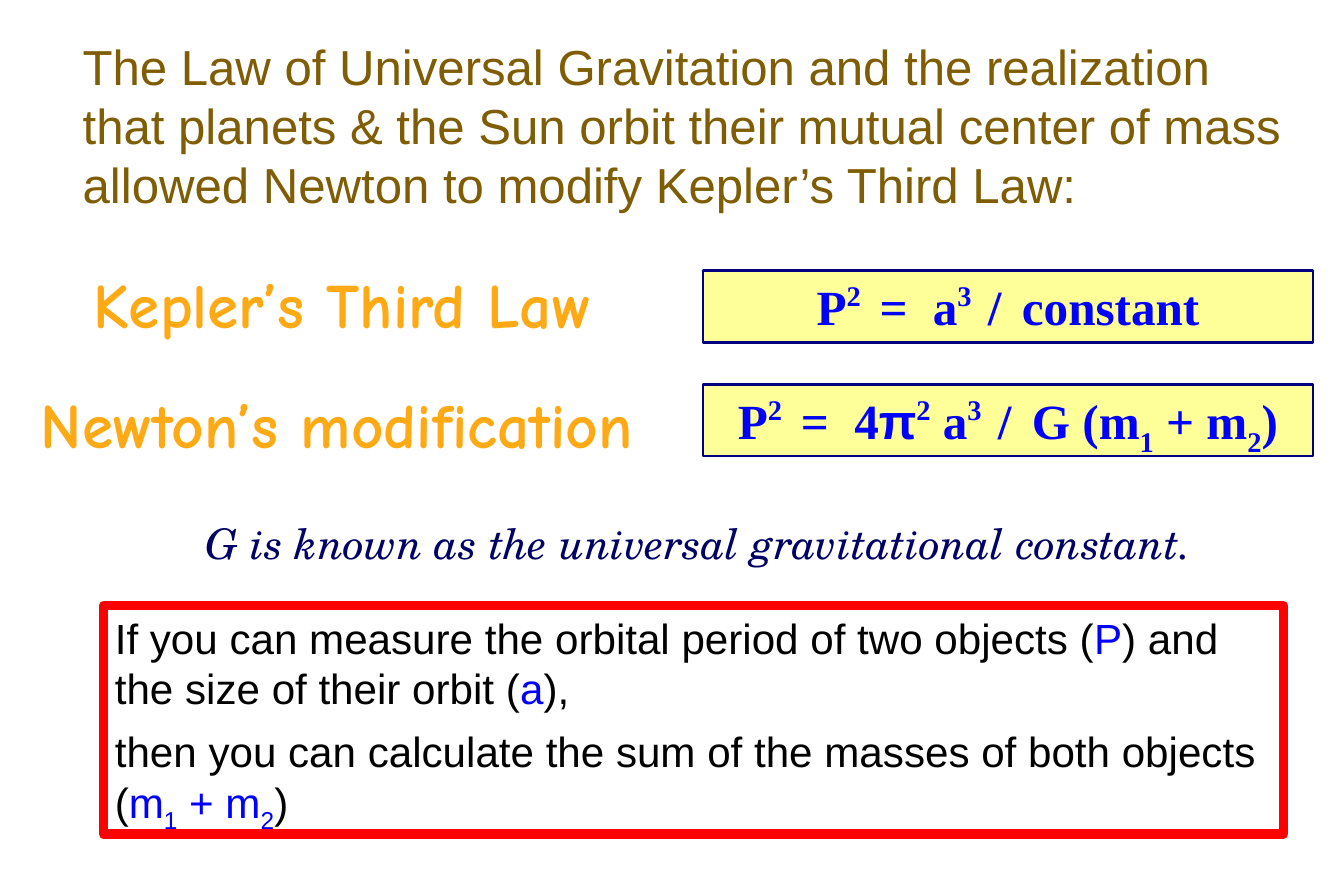
from pptx import Presentation
from pptx.dml.color import RGBColor as Rgb
from pptx.enum.shapes import MSO_SHAPE as Kind
from pptx.enum.text import MSO_ANCHOR as Anchor, PP_ALIGN as Align
from pptx.util import Inches, Pt

HEX = {"brown": "7F5D04", "orange": "FFA915", "yellow": "FFFF99", "navy": "000080",
       "ink": "000066", "blue": "0000FF", "red": "FF0000", "black": "000000"}
INTRO = {"name": "Arial", "size": Pt(28), "color": "brown"}
LABEL = {"name": "Comic Neue", "size": Pt(36), "bold": True, "color": "orange"}
MATH = {"name": "Times New Roman", "size": Pt(28), "bold": True, "color": "blue"}
NOTE = {"name": "TeX Gyre Schola", "size": Pt(24), "italic": True, "color": "ink"}
BODY = {"name": "Arial", "size": Pt(24), "color": "black"}
BLUE = {"color": "blue"}
SUP, SUB = {"baseline": 40000}, {"baseline": -26000}
WIDE, LOOSE = {"spc": 370}, {"spc": 230}
RAW = ("baseline", "spc")

deck = Presentation()
deck.slide_width, deck.slide_height = Inches(10.63), Inches(7.09)
slide = deck.slides.add_slide(deck.slide_layouts[6])


def rgb(name):
    return Rgb.from_string(HEX[name])


def place(box):
    """Turn percentages of the slide into left, top, width and height."""
    sides = (deck.slide_width, deck.slide_height) * 2
    return [int(side * part / 100) for side, part in zip(sides, box)]


def style(run, form):
    for key, value in form.items():
        if key == "color":
            run.font.color.rgb = rgb(value)
        elif key in RAW:
            run._r.get_or_add_rPr().set(key, str(value))
        else:
            setattr(run.font, key, value)


def write(shape, paras, base, align=Align.LEFT, anchor=Anchor.TOP):
    """Fill a shape with paragraphs, each a list of (text, extra format)."""
    frame = shape.text_frame
    frame.word_wrap, frame.vertical_anchor = True, anchor
    frame.margin_left = frame.margin_right = Inches(0.09)
    frame.margin_top = frame.margin_bottom = Inches(0.05)
    for num, parts in enumerate(paras):
        para = frame.add_paragraph() if num else frame.paragraphs[0]
        para.alignment = align
        if num:
            para.space_before = Pt(7.2)
        for text, extra in parts:
            run = para.add_run()
            run.text = text
            style(run, {**base, **extra})


def panel(box, edge, width, fill=None):
    shape = slide.shapes.add_shape(Kind.RECTANGLE, *place(box))
    shape.shadow.inherit = False
    if fill:
        shape.fill.solid()
        shape.fill.fore_color.rgb = rgb(fill)
    else:
        shape.fill.background()
    shape.line.color.rgb = rgb(edge)
    shape.line.width = Pt(width)
    return shape


def plain(box, text, base, **layout):
    write(slide.shapes.add_textbox(*place(box)), [[(text, {})]], base, **layout)


def formula(box, parts):
    write(panel(box, "navy", 1.5, "yellow"), [parts], MATH, align=Align.CENTER)


def result(box):
    masses = [("m", BLUE), ("1", {**BLUE, **SUB}), (" + m", BLUE), ("2", {**BLUE, **SUB})]
    write(panel(box, "red", 5.25), [
        [("If you can measure the orbital period of two objects (", {}), ("P", BLUE),
         (") and the size of their orbit (", {}), ("a", BLUE), ("),", {})],
        [("then you can calculate the sum of the masses of both objects (", {}),
         *masses, (")", {})]], BODY)


start = [("P", {}), ("2", SUP), (" = ", WIDE)]
cube = [("a", {}), ("3", SUP), (" / ", LOOSE)]

plain((5.3, 3.4, 92.5, 21.6),
      "The Law of Universal Gravitation and the realization that planets & the Sun "
      "orbit their mutual center of mass allowed Newton to modify Kepler’s Third Law:", INTRO)
plain((6.1, 24.8, 42.3, 18), "Kepler’s Third Law", LABEL, anchor=Anchor.MIDDLE)
plain((2.2, 38.2, 50, 18), "Newton’s modification", LABEL, anchor=Anchor.MIDDLE)
formula((52.3, 30.2, 45.4, 8), [*start, *cube, ("constant", {})])
formula((52.3, 42.9, 45.4, 8),
        [*start, ("4", {}), ("π", {"name": "Arial"}), ("2", SUP), (" ", {}), *cube,
         ("G (m", {}), ("1", SUB), (" + m", {}), ("2", SUB), (")", {})])
plain((11.6, 57, 80.7, 7), "G is known as the universal gravitational constant.",
      NOTE, align=Align.CENTER)
result((7.7, 67.6, 87.8, 25.5))

deck.save("out.pptx")
